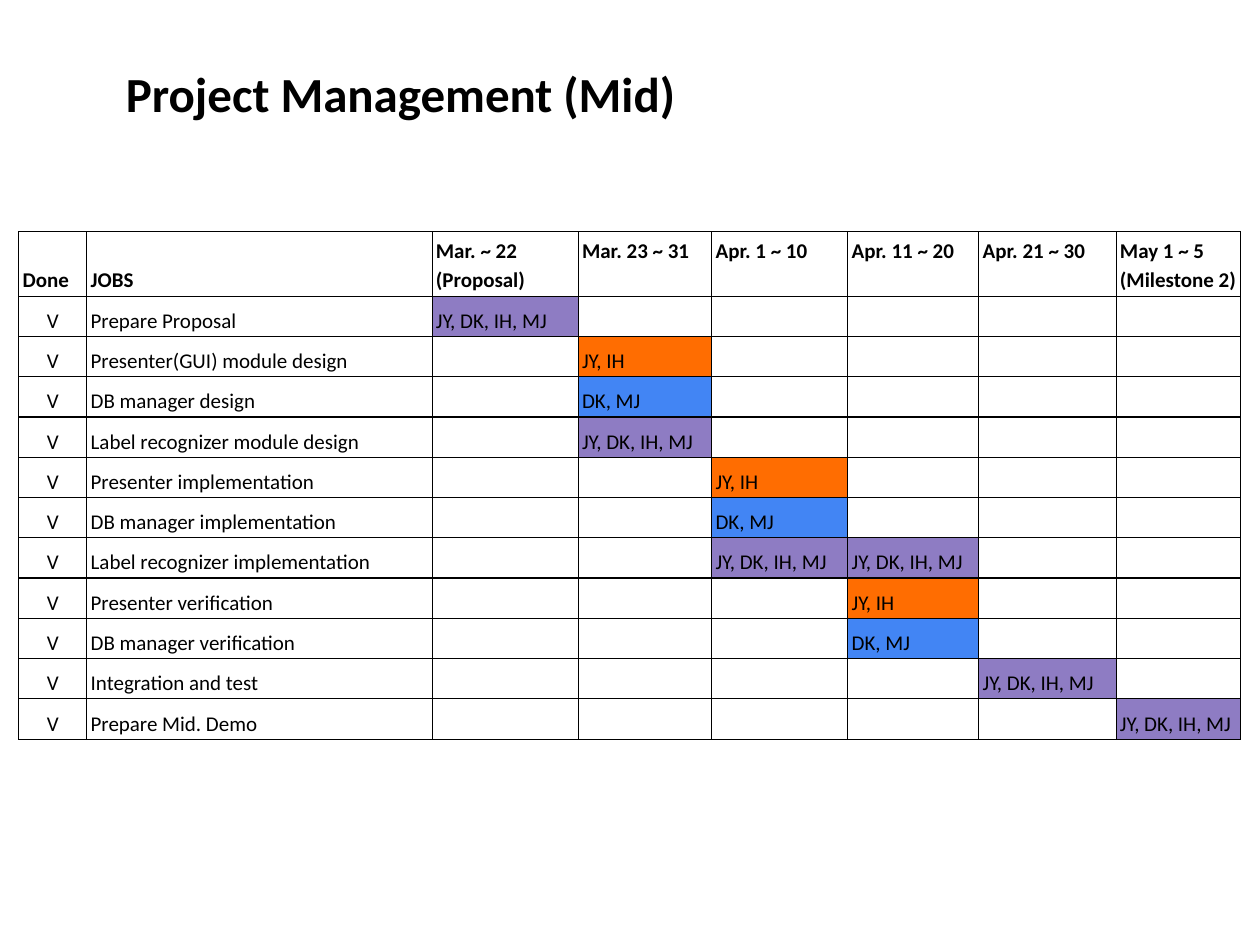
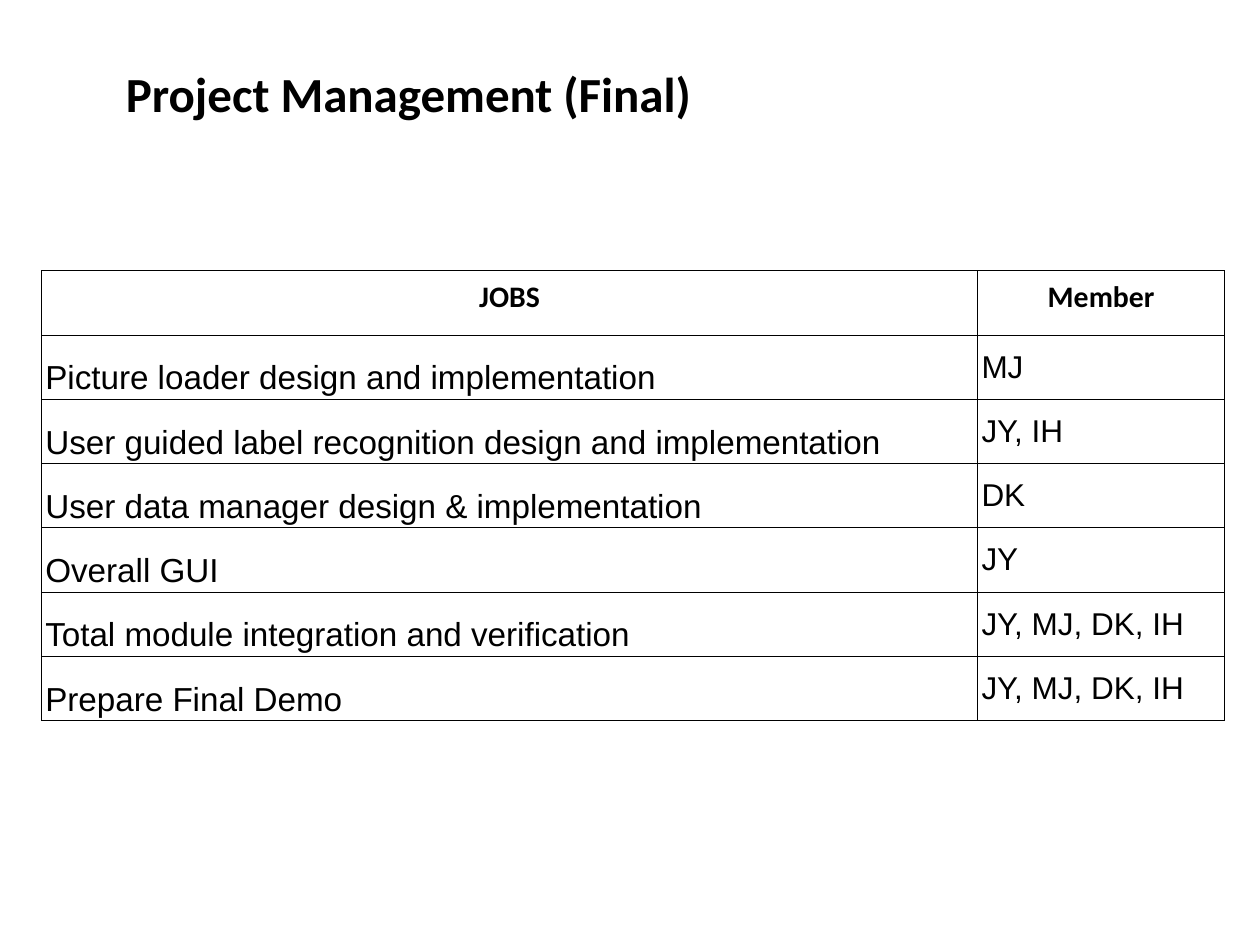
"""Build the two project management slides: mid-term schedule and final job split."""
from lxml import etree
from pptx import Presentation
from pptx.dml.color import RGBColor
from pptx.enum.text import MSO_ANCHOR, PP_ALIGN
from pptx.oxml.ns import qn
from pptx.util import Emu, Pt

PX = 9144
BLACK = RGBColor(0x00, 0x00, 0x00)
WHITE = RGBColor(0xFF, 0xFF, 0xFF)
PURPLE = RGBColor(0x8E, 0x7C, 0xC3)
ORANGE = RGBColor(0xFF, 0x6D, 0x01)
BLUE = RGBColor(0x42, 0x85, 0xF4)
TOP, MIDDLE, BOTTOM = MSO_ANCHOR.TOP, MSO_ANCHOR.MIDDLE, MSO_ANCHOR.BOTTOM
LEFT, CENTER = PP_ALIGN.LEFT, PP_ALIGN.CENTER
HEADING_FONT, BODY_FONT = "Calibri", "Arial"

EVERYONE, GUI_TEAM, DB_TEAM = "JY, DK, IH, MJ", "JY, IH", "DK, MJ"
TEAM_FILLS = {EVERYONE: PURPLE, GUI_TEAM: ORANGE, DB_TEAM: BLUE}
SCHEDULE_HEADINGS = ["Done", "JOBS", "Mar. ~ 22\n(Proposal)", "Mar. 23 ~ 31", "Apr. 1 ~ 10",
                     "Apr. 11 ~ 20", "Apr. 21 ~ 30", "May 1 ~ 5\n(Milestone 2)"]
SCHEDULE = [
    ("Prepare Proposal", EVERYONE, [2]),
    ("Presenter(GUI) module design", GUI_TEAM, [3]),
    ("DB manager design", DB_TEAM, [3]),
    ("Label recognizer module design", EVERYONE, [3]),
    ("Presenter implementation", GUI_TEAM, [4]),
    ("DB manager implementation", DB_TEAM, [4]),
    ("Label recognizer implementation", EVERYONE, [4, 5]),
    ("Presenter verification", GUI_TEAM, [5]),
    ("DB manager verification", DB_TEAM, [5]),
    ("Integration and test", EVERYONE, [6]),
    ("Prepare Mid. Demo", EVERYONE, [7]),
]
FINAL_JOBS = [
    ("Picture loader design and implementation", "MJ"),
    ("User guided label recognition design and implementation", "JY, IH"),
    ("User data manager design & implementation", "DK"),
    ("Overall GUI", "JY"),
    ("Total module integration and verification", "JY, MJ, DK, IH"),
    ("Prepare Final Demo", "JY, MJ, DK, IH"),
]


def add_titled_table(title, left, top, widths, heights):
    slide = deck.slides.add_slide(deck.slide_layouts[6])
    box = slide.shapes.add_textbox(90 * PX, 30 * PX, 882 * PX, 87 * PX)
    box.text_frame.word_wrap = True
    box.text_frame.vertical_anchor = MIDDLE
    span = box.text_frame.paragraphs[0].add_run()
    span.text = title
    span.font.name, span.font.size, span.font.bold = HEADING_FONT, Pt(28), True
    span.font.color.rgb = BLACK
    table = slide.shapes.add_table(len(heights), len(widths), left * PX, top * PX,
                                   sum(widths) * PX, sum(heights) * PX).table
    table.first_row = table.horz_banding = False
    for column, width in zip(table.columns, widths):
        column.width = Emu(width * PX)
    for row, height in zip(table.rows, heights):
        row.height = Emu(height * PX)
    return table


def write_cell(cell, text, size, anchor=BOTTOM, align=LEFT, font=HEADING_FONT,
               bold=False, spacing=1.15, fill=WHITE):
    cell.margin_left = cell.margin_right = Emu(3 * PX)
    cell.margin_top = cell.margin_bottom = Emu(2 * PX)
    cell.vertical_anchor = anchor
    properties = cell._tc.get_or_add_tcPr()
    for side in ("a:lnL", "a:lnR", "a:lnT", "a:lnB"):
        border = etree.SubElement(properties, qn(side), w=str(Pt(0.75)))
        paint = etree.SubElement(border, qn("a:solidFill"))
        etree.SubElement(paint, qn("a:srgbClr"), val=str(BLACK))
    cell.fill.solid()
    cell.fill.fore_color.rgb = fill
    frame = cell.text_frame
    for number, line in enumerate(text.split("\n")):
        para = frame.add_paragraph() if number else frame.paragraphs[0]
        para.alignment, para.line_spacing = align, spacing
        if line:
            span = para.add_run()
            span.text = line
            span.font.name, span.font.size, span.font.bold = font, Pt(size), bold
            span.font.color.rgb = BLACK
        else:
            etree.SubElement(para._p, qn("a:endParaRPr"), sz=str(size * 100))


deck = Presentation()
deck.slide_width, deck.slide_height = Emu(1000 * PX), Emu(750 * PX)

schedule_table = add_titled_table("Project Management (Mid)", 15, 184,
                                  [54, 274, 116, 106, 108, 104, 109, 99],
                                  [51] + [32] * len(SCHEDULE))
for column, heading in enumerate(SCHEDULE_HEADINGS):
    write_cell(schedule_table.cell(0, column), heading, 12,
               anchor=BOTTOM if column < 2 else TOP, bold=True)
for row, (job, team, periods) in enumerate(SCHEDULE, 1):
    write_cell(schedule_table.cell(row, 0), "V", 12, align=CENTER)
    write_cell(schedule_table.cell(row, 1), job, 12)
    for column in range(2, len(SCHEDULE_HEADINGS)):
        busy = column in periods
        write_cell(schedule_table.cell(row, column), team if busy else "", 12,
                   fill=TEAM_FILLS[team] if busy else WHITE)

final_table = add_titled_table("Project Management (Final)", 33, 215, [743, 196],
                               [51] * (len(FINAL_JOBS) + 1))
for column, heading in enumerate(["JOBS", "Member"]):
    write_cell(final_table.cell(0, column), heading, 17, anchor=TOP, align=CENTER, bold=True)
for row, (job, members) in enumerate(FINAL_JOBS, 1):
    write_cell(final_table.cell(row, 0), job, 19, font=BODY_FONT)
    write_cell(final_table.cell(row, 1), members, 18, anchor=MIDDLE, font=BODY_FONT, spacing=1.0)

deck.save("out.pptx")
